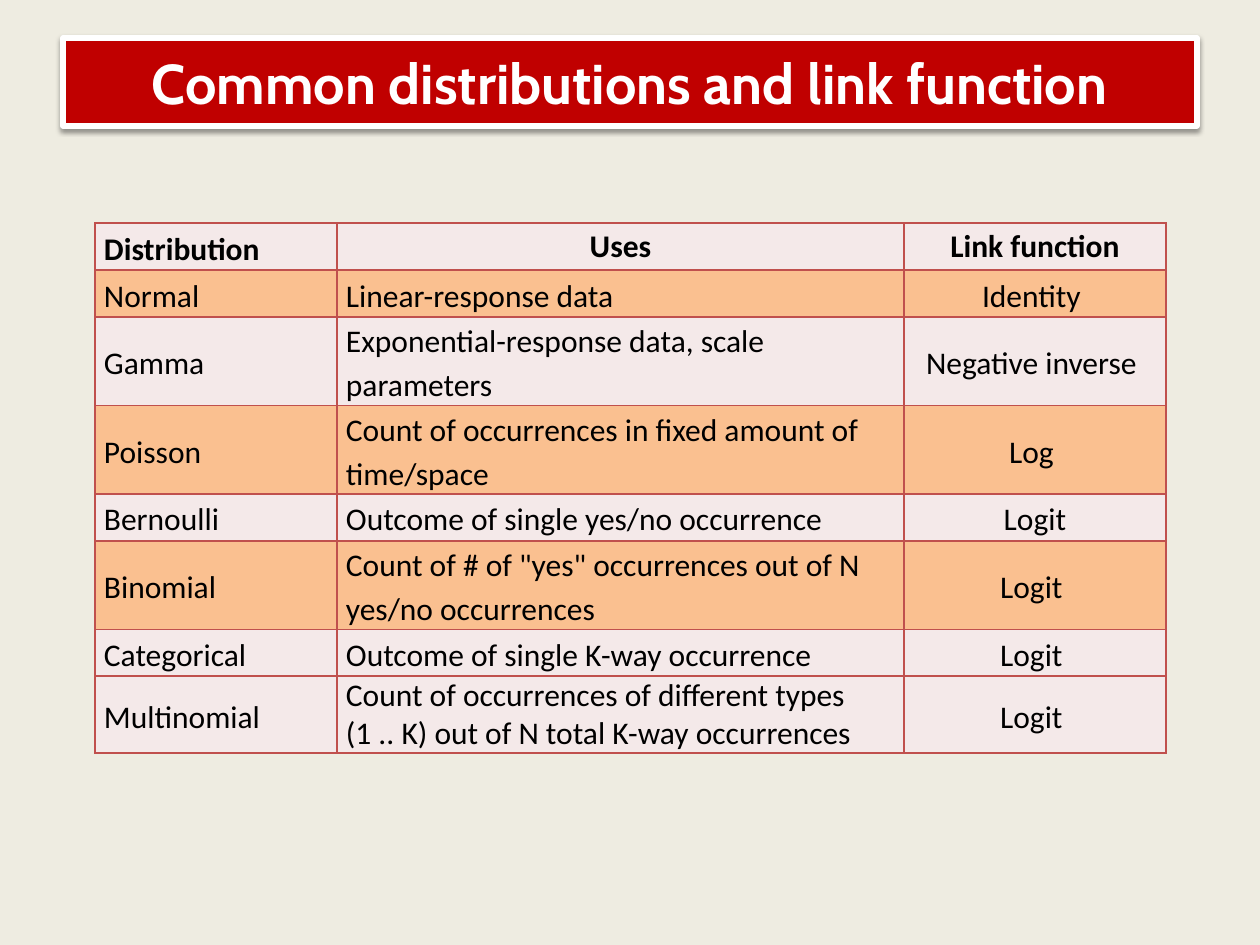
from dataclasses import dataclass
from lxml.etree import SubElement
from pptx import Presentation
from pptx.dml.color import RGBColor as RGB
from pptx.enum.shapes import MSO_SHAPE as Shape
from pptx.enum.text import MSO_ANCHOR as Anchor, PP_ALIGN as Align
from pptx.oxml import parse_xml
from pptx.oxml.ns import nsdecls, qn
from pptx.util import Emu, Pt

SCALE = 914400 / 126


@dataclass(frozen=True)
class Theme:
    page: str = "EEECE1"
    banner: str = "C00000"
    white: str = "FFFFFF"
    ink: str = "000000"
    rule: str = "C0504D"
    pale: str = "F4E9E9"
    warm: str = "FAC090"
    title_font: str = "Cabin"
    body_font: str = "Calibri"
    title_size: int = 32
    body_size: int = 18
    frame: int = 3
    border: int = 1
    spacing: float = 1.15


@dataclass(frozen=True)
class Row:
    name: str
    uses: str
    link: str
    height: int
    warm: bool = False


THEME = Theme()
SINGLE, DOUBLE = 47, 88
COLS = (242, 567, 262)
ALIGNS = (Align.LEFT, Align.LEFT, Align.CENTER)
ROWS = (
    Row("Distribution", "Uses", "Link function", SINGLE),
    Row("Normal", "Linear-response data", "Identity ", SINGLE, True),
    Row("Gamma", "Exponential-response data, scale parameters", "Negative inverse ", DOUBLE),
    Row("Poisson", "Count of occurrences in fixed amount of time/space", "Log ", DOUBLE, True),
    Row("Bernoulli", "Outcome of single yes/no occurrence", "Logit", SINGLE),
    Row("Binomial", 'Count of # of "yes" occurrences out of N yes/no occurrences', "Logit ", DOUBLE, True),
    Row("Categorical", "Outcome of single K-way occurrence", "Logit ", SINGLE),
    Row("Multinomial", "Count of occurrences of different types (1 .. K) out of N total K-way occurrences",
        "Logit ", 76),
)


def px(n: int) -> Emu:
    return Emu(round(n * SCALE))


def style(para, font: str, size: int, color: str, bold: bool, align) -> None:
    para.alignment = align
    for run in para.runs:
        run.font.name = font
        run.font.size = Pt(size)
        run.font.bold = bold
        run.font.color.rgb = RGB.from_string(color)


def add_shadow(shape) -> None:
    """Give the shape a soft shadow straight below it."""
    shape.shadow.inherit = False
    effects = shape._element.spPr.find(qn("a:effectLst"))
    outer = SubElement(effects, qn("a:outerShdw"), blurRad=str(Pt(3.1)), dist=str(Pt(1.6)),
                       dir="5400000", rotWithShape="0")
    color = SubElement(outer, qn("a:srgbClr"), val=THEME.ink)
    SubElement(color, qn("a:alpha"), val="38000")


def add_title(slide, text: str) -> None:
    box = slide.shapes.add_shape(Shape.RECTANGLE, px(63), px(38), px(1134), px(88))
    box.fill.solid()
    box.fill.fore_color.rgb = RGB.from_string(THEME.banner)
    box.line.color.rgb = RGB.from_string(THEME.white)
    box.line.width = Pt(THEME.frame)
    add_shadow(box)
    frame = box.text_frame
    frame.word_wrap = True
    frame.vertical_anchor = Anchor.MIDDLE
    frame.text = text
    style(frame.paragraphs[0], THEME.title_font, THEME.title_size, THEME.white, True, Align.CENTER)


def set_borders(cell) -> None:
    props = cell._tc.get_or_add_tcPr()
    for spot, side in enumerate(("lnL", "lnR", "lnT", "lnB")):
        props.insert(spot, parse_xml(
            f'<a:{side} {nsdecls("a")} w="{Pt(THEME.border)}"><a:solidFill>'
            f'<a:srgbClr val="{THEME.rule}"/></a:solidFill></a:{side}>'))


def fill_cell(cell, text: str, fill: str, bold: bool, align, spacing: float | None, anchor) -> None:
    cell.margin_left = cell.margin_right = px(9)
    cell.margin_top = cell.margin_bottom = 0
    cell.vertical_anchor = anchor
    cell.fill.solid()
    cell.fill.fore_color.rgb = RGB.from_string(fill)
    set_borders(cell)
    cell.text_frame.text = text
    para = cell.text_frame.paragraphs[0]
    style(para, THEME.body_font, THEME.body_size, THEME.ink, bold, align)
    if spacing:
        para.line_spacing = spacing


def add_grid(slide) -> None:
    heights = [row.height for row in ROWS]
    table = slide.shapes.add_table(len(ROWS), len(COLS), px(95), px(223),
                                   px(sum(COLS)), px(sum(heights))).table
    for col, width in zip(table.columns, COLS):
        col.width = px(width)
    last = len(ROWS) - 1
    for r, row in enumerate(ROWS):
        table.rows[r].height = px(row.height)
        fill = THEME.warm if row.warm else THEME.pale
        for c, text in enumerate((row.name, row.uses, row.link)):
            head, tail = r == 0, (r, c) == (last, 1)
            tight = tail or (head and c > 0)
            fill_cell(table.cell(r, c), text, fill, head,
                      Align.CENTER if head and c else ALIGNS[c],
                      None if tight else THEME.spacing,
                      Anchor.TOP if tail else Anchor.MIDDLE)


def main() -> None:
    deck = Presentation()
    deck.slide_width, deck.slide_height = px(1260), px(945)
    slide = deck.slides.add_slide(deck.slide_layouts[6])
    slide.background.fill.solid()
    slide.background.fill.fore_color.rgb = RGB.from_string(THEME.page)
    add_title(slide, "Common distributions and link function")
    add_grid(slide)
    deck.save("out.pptx")


if __name__ == "__main__":
    main()
